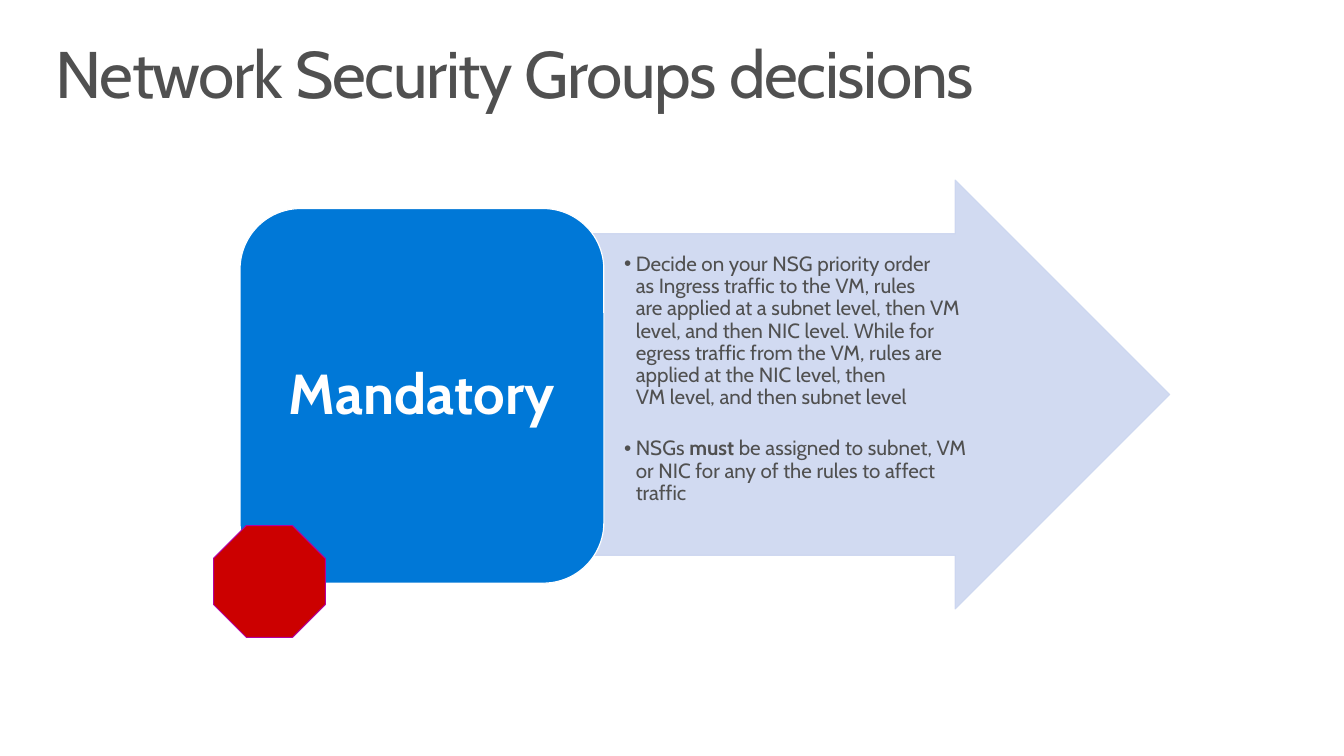
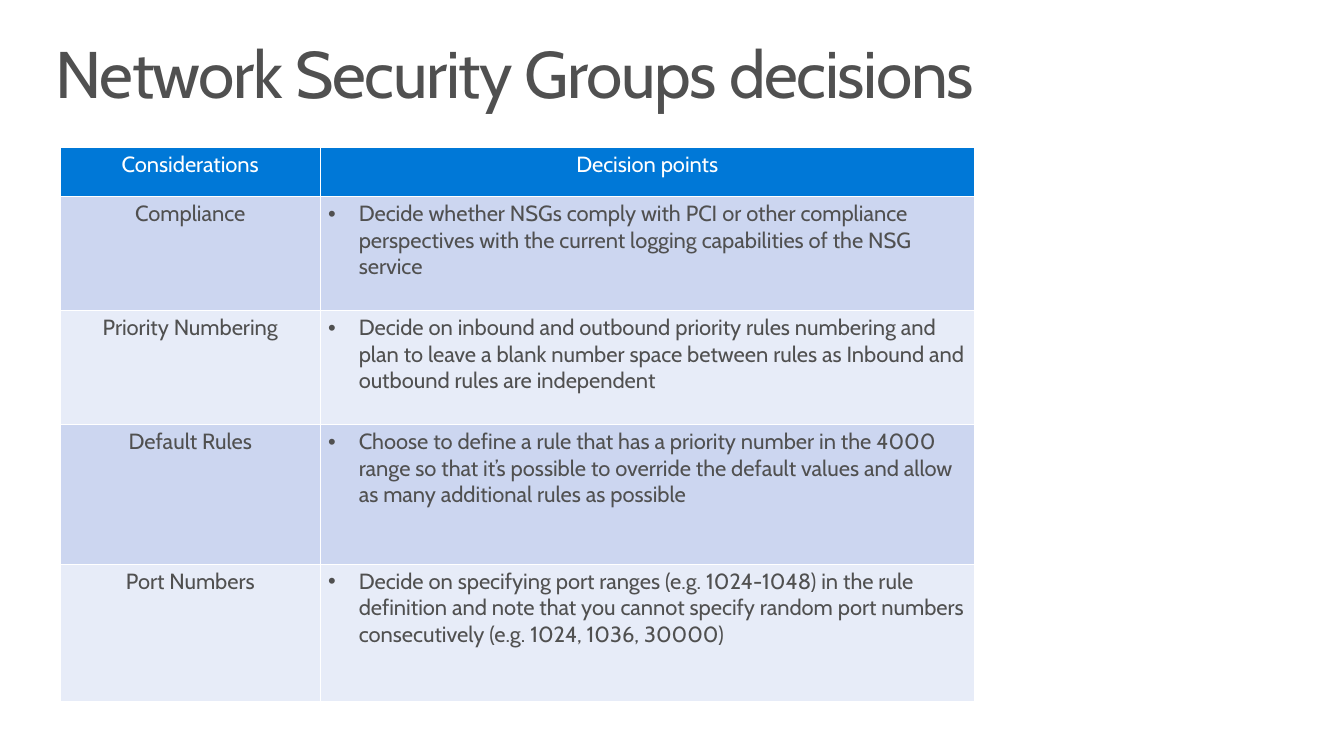
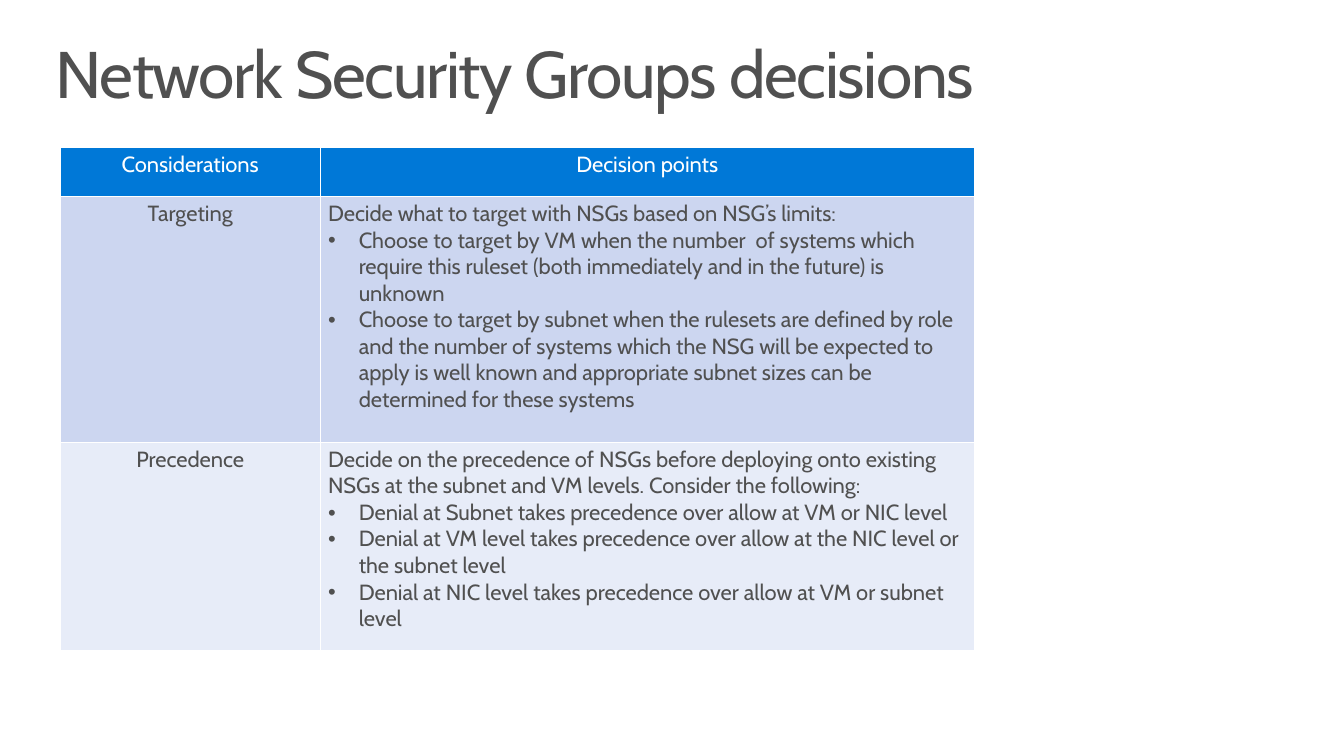
from lxml.etree import SubElement
from pptx import Presentation
from pptx.dml.color import RGBColor
from pptx.enum.shapes import MSO_SHAPE as Preset
from pptx.enum.text import MSO_ANCHOR as Anchor, MSO_AUTO_SIZE as AutoSize, PP_ALIGN as Align
from pptx.oxml import parse_xml
from pptx.oxml.ns import nsdecls, qn
from pptx.util import Cm, Pt

FONT = "Cabin"
COLORS = {
    "text": "505050",
    "white": "FFFFFF",
    "blue": "0078D7",
    "band": "CCD6F0",
    "pale": "E7ECF8",
    "red": "CC0000",
    "purple": "B4009E",
}
TITLE = "Network Security Groups decisions"
HEADER = ("Considerations", "Decision points")
COLUMN_WIDTHS = (6.68, 16.81)
HEADER_HEIGHT = 1.27


def rgb(color):
    return RGBColor.from_string(COLORS[color])


def set_insets(target, left, top, right, bottom):
    target.margin_left, target.margin_top = Cm(left), Cm(top)
    target.margin_right, target.margin_bottom = Cm(right), Cm(bottom)


def add_bullet(paragraph, indent):
    properties = paragraph._p.get_or_add_pPr()
    properties.set("marL", str(Cm(indent)))
    properties.set("indent", str(-Cm(indent)))
    SubElement(properties, qn("a:buFont")).set("typeface", "Arial")
    SubElement(properties, qn("a:buChar")).set("char", "•")


def set_opacity(shape, percent):
    """Make the fill and line of a shape partly transparent."""
    for color in shape._element.spPr.iter(qn("a:srgbClr")):
        SubElement(color, qn("a:alpha")).set("val", str(percent * 1000))


def set_borders(cell):
    """Draw white borders of 1 pt on all four sides."""
    properties = cell._tc.get_or_add_tcPr()
    for position, side in enumerate(("lnL", "lnR", "lnT", "lnB")):
        properties.insert(position, parse_xml(
            f'<a:{side} {nsdecls("a")} w="{Pt(1)}"><a:solidFill>'
            f'<a:srgbClr val="{COLORS["white"]}"/></a:solidFill></a:{side}>'))


class Deck:
    """Holds the shared style and the slide being filled."""

    def __init__(self):
        self.presentation = Presentation()
        self.presentation.slide_width = Cm(34.54)
        self.presentation.slide_height = Cm(19.43)
        self.slide = None

    def style(self, paragraph, size, color="text", align=Align.LEFT, spacing=1.0):
        paragraph.alignment = align
        paragraph.line_spacing = spacing
        for run in paragraph.runs:
            run.font.name = FONT
            run.font.size = Pt(size)
            run.font.bold = bool(run.font.bold)
            run.font.color.rgb = rgb(color)

    def new_slide(self, title):
        self.slide = self.presentation.slides.add_slide(self.presentation.slide_layouts[5])
        heading = self.slide.shapes.title
        heading.left, heading.top = Cm(1.02), Cm(0.81)
        heading.width, heading.height = Cm(32.51), Cm(2.54)
        frame = heading.text_frame
        frame.text = title
        frame.auto_size = AutoSize.NONE
        frame.vertical_anchor = Anchor.TOP
        set_insets(frame, 0.41, 0.25, 0.41, 0.25)
        self.style(frame.paragraphs[0], 48, spacing=0.9)
        frame.paragraphs[0].runs[0].font._element.set("spc", "-100")

    def shape(self, preset, left, top, width, height, fill, line, line_width=0.85):
        shape = self.slide.shapes.add_shape(preset, Cm(left), Cm(top), Cm(width), Cm(height))
        shape.shadow.inherit = False
        shape.fill.solid()
        shape.fill.fore_color.rgb = rgb(fill)
        shape.line.color.rgb = rgb(line)
        shape.line.width = Pt(line_width)
        return shape

    def label(self, shape, text, size):
        frame = shape.text_frame
        frame.text = text
        frame.word_wrap = True
        frame.vertical_anchor = Anchor.MIDDLE
        set_insets(frame, 0.43, 0.23, 0.43, 0.23)
        frame.paragraphs[0].runs[0].font.bold = True
        self.style(frame.paragraphs[0], size, "white", Align.CENTER, 0.9)

    def bullets(self, shape, points):
        """Fill a shape with points, each a list of (text, bold) parts and breaks."""
        frame = shape.text_frame
        frame.word_wrap = True
        frame.vertical_anchor = Anchor.TOP
        set_insets(frame, 1.02, 0.51, 0.76, 0.03)
        for index, parts in enumerate(points):
            paragraph = frame.add_paragraph() if index else frame.paragraphs[0]
            for part in parts:
                if part == "break":
                    paragraph.add_line_break()
                    continue
                run = paragraph.add_run()
                run.text, run.font.bold = part
            self.style(paragraph, 15, spacing=0.9)
            paragraph.space_after = Pt(21)
            add_bullet(paragraph, 0.3)

    def cell(self, cell, lines, fill, color="text", align=Align.LEFT):
        """Fill a table cell; lines that start with a bullet become list items."""
        cell.fill.solid()
        cell.fill.fore_color.rgb = rgb(fill)
        set_borders(cell)
        set_insets(cell, 0.2, 0.1, 0.2, 0.1)
        for index, line in enumerate(lines):
            paragraph = cell.text_frame.add_paragraph() if index else cell.text_frame.paragraphs[0]
            paragraph.text = line.removeprefix("• ")
            self.style(paragraph, 16, color, align)
            if line.startswith("• "):
                add_bullet(paragraph, 0.79)

    def table(self, rows):
        """Draw the decision table from rows of (height, consideration, points)."""
        heights = [HEADER_HEIGHT] + [height for height, _, _ in rows]
        table = self.slide.shapes.add_table(
            len(heights), len(HEADER), Cm(1.55), Cm(3.78),
            Cm(sum(COLUMN_WIDTHS)), Cm(sum(heights))).table
        table.horz_banding = False
        for column, width in zip(table.columns, COLUMN_WIDTHS):
            column.width = Cm(width)
        for row, height in zip(table.rows, heights):
            row.height = Cm(height)
        for column, heading in enumerate(HEADER):
            self.cell(table.cell(0, column), [heading], "blue", "white", Align.CENTER)
        for number, (_, consideration, points) in enumerate(rows, start=1):
            fill = "band" if number % 2 else "pale"
            self.cell(table.cell(number, 0), [consideration], fill, align=Align.CENTER)
            self.cell(table.cell(number, 1), points, fill)


PRIORITY_POINT = [
    ("Decide on your NSG priority order ", False), "break",
    ("as Ingress traffic to the VM, rules ", False), "break",
    ("are applied at a subnet level, then VM level, and then NIC level. While for "
     "egress traffic from the VM, rules are applied at the NIC level, then ", False), "break",
    ("VM level, and then subnet level", False),
]
ASSIGNMENT_POINT = [
    ("NSGs ", False),
    ("must ", True),
    ("be assigned to subnet, VM or NIC for any of the rules to affect traffic", False),
]
RULE_ROWS = [
    (2.93, "Compliance", [
        "• Decide whether NSGs comply with PCI or other compliance perspectives with the "
        "current logging capabilities of the NSG service"]),
    (2.93, "Priority Numbering", [
        "• Decide on inbound and outbound priority rules numbering and plan to leave a blank "
        "number space between rules as Inbound and outbound rules are independent"]),
    (3.59, "Default Rules", [
        "• Choose to define a rule that has a priority number in the 4000 range so that it’s "
        "possible to override the default values and allow as many additional rules as possible"]),
    (3.53, "Port Numbers", [
        "• Decide on specifying port ranges (e.g. 1024-1048) in the rule definition and note "
        "that you cannot specify random port numbers consecutively (e.g. 1024, 1036, 30000)"]),
]
SCOPE_ROWS = [
    (6.32, "Targeting", [
        "Decide what to target with NSGs based on NSG’s limits:",
        "• Choose to target by VM when the number  of systems which require this ruleset "
        "(both immediately and in the future) is unknown",
        "• Choose to target by subnet when the rulesets are defined by role and the number of "
        "systems which the NSG will be expected to apply is well known and appropriate subnet "
        "sizes can be determined for these systems"]),
    (5.36, "Precedence", [
        "Decide on the precedence of NSGs before deploying onto existing NSGs at the subnet "
        "and VM levels. Consider the following:",
        "• Denial at Subnet takes precedence over allow at VM or NIC level",
        "• Denial at VM level takes precedence over allow at the NIC level or the subnet level",
        "• Denial at NIC level takes precedence over allow at VM or subnet level"]),
]


def main():
    deck = Deck()

    deck.new_slide(TITLE)
    arrow = deck.shape(Preset.RIGHT_ARROW, 15.02, 4.63, 15.04, 11.02, "band", "band")
    arrow.adjustments[0] = 0.75
    set_opacity(arrow, 90)
    deck.bullets(arrow, [PRIORITY_POINT, ASSIGNMENT_POINT])
    mandatory = deck.shape(Preset.ROUNDED_RECTANGLE, 6.17, 5.36, 9.35, 9.63, "blue", "white")
    deck.label(mandatory, "Mandatory", 41)
    deck.shape(Preset.OCTAGON, 5.49, 13.51, 2.87, 2.87, "red", "purple", 0.75)

    for rows in (RULE_ROWS, SCOPE_ROWS):
        deck.new_slide(TITLE)
        deck.table(rows)

    deck.presentation.save("out.pptx")


if __name__ == "__main__":
    main()
